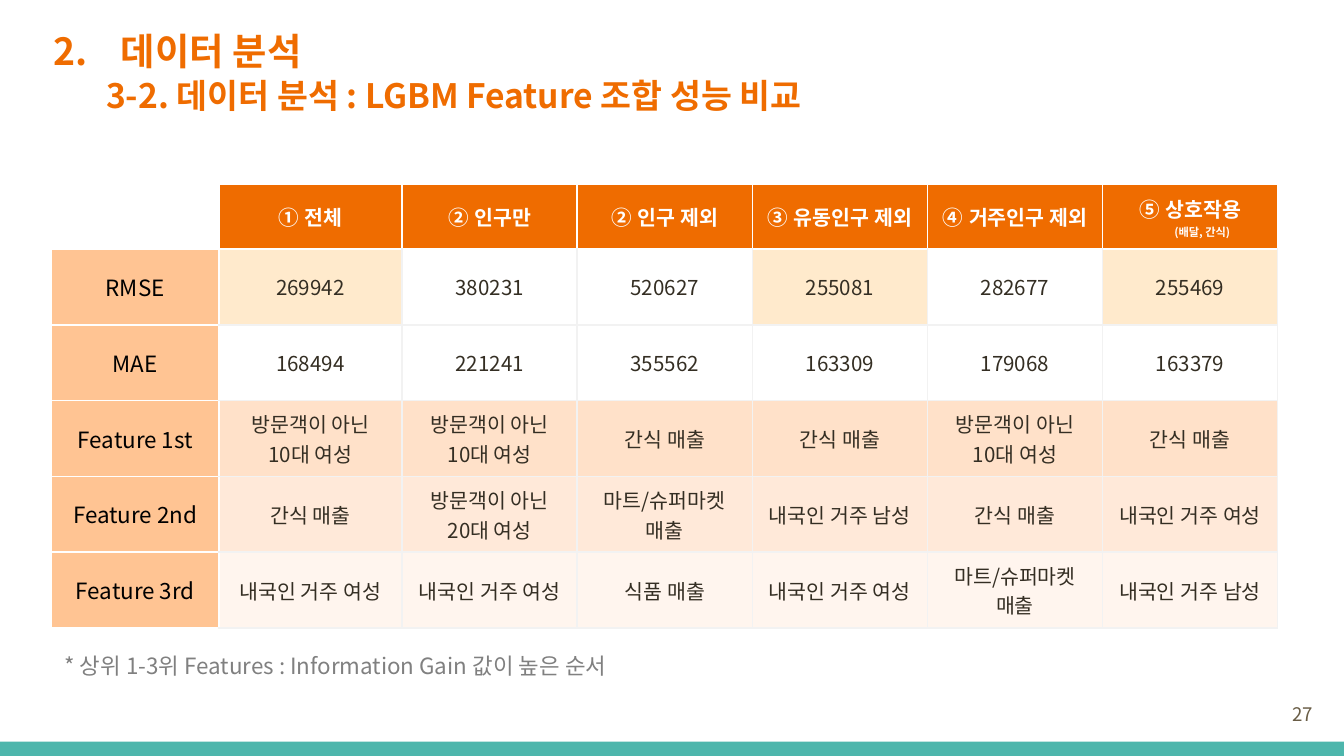
"""Builds a slide comparing LGBM feature combinations by error and top features."""
from lxml import etree
from pptx import Presentation
from pptx import util as u
from pptx.dml import color
from pptx.enum import text
from pptx.oxml import ns

NOTO = "Noto Sans CJK KR"
ORANGE, WHITE, GREY, BLACK = "EF6C00", "FFFFFF", "F2F2F2", "000000"
PEACH, CREAM, SIDE, INK = "FFE1C9", "FFEACC", "FFC493", "342E23"
Pt = u.Pt


def rgb(value):
    return color.RGBColor.from_string(value)


def style(paragraph, size, hue, bold=False, align=text.PP_ALIGN.LEFT):
    paragraph.alignment = align
    for run in paragraph.runs:
        run.font.size, run.font.bold, run.font.name = Pt(size), bold, NOTO
        run.font.color.rgb = rgb(hue)
        etree.SubElement(run.font._element, ns.qn("a:ea"), typeface=NOTO)


deck = Presentation()
deck.slide_width, deck.slide_height = Pt(720), Pt(405)
slide = deck.slides.add_slide(deck.slide_layouts[1])

footer_band = slide.shapes.add_shape(1, Pt(0), Pt(397.3), Pt(720), Pt(7.7))
footer_band.shadow.inherit = False
footer_band.fill.solid()
footer_band.fill.fore_color.rgb = rgb("4DB6AC")
footer_band.line.fill.background()

section, subsection = slide.placeholders
headings = [
    (section, 10.8, "데이터 분석", 20, 43.9, -36),
    (subsection, 35.3, "3-2. 데이터 분석 : LGBM Feature 조합 성능 비교", 18, 0, 36),
]
for heading, top, words, size, margin, indent in headings:
    heading.left, heading.top, heading.width, heading.height = Pt(13.7), Pt(top), Pt(671), Pt(31)
    frame = heading.text_frame
    frame.text = words
    frame.word_wrap = True
    frame.auto_size = text.MSO_AUTO_SIZE.NONE
    frame.vertical_anchor = text.MSO_ANCHOR.TOP
    frame.margin_left = frame.margin_right = frame.margin_top = frame.margin_bottom = Pt(7.2)
    line = frame.paragraphs[0]
    line.space_before, line.line_spacing = Pt(0), 0.9
    props = line._p.get_or_add_pPr()
    props.set("marL", str(Pt(margin)))
    props.set("indent", str(Pt(indent)))
    if heading is section:
        bullet_color = etree.SubElement(props, ns.qn("a:buClr"))
        etree.SubElement(bullet_color, ns.qn("a:srgbClr"), val=ORANGE)
        etree.SubElement(props, ns.qn("a:buFont"), typeface=NOTO)
        etree.SubElement(props, ns.qn("a:buAutoNum"), type="arabicPeriod", startAt="2")
    else:
        etree.SubElement(props, ns.qn("a:buNone"))
    style(line, size, ORANGE, bold=True)

TEEN, TWENTIES = "방문객이 아닌\n10대 여성", "방문객이 아닌\n20대 여성"
SNACK, FOOD, MART = "간식 매출", "식품 매출", "마트/슈퍼마켓\n매출"
WOMEN, MEN = "내국인 거주 여성", "내국인 거주 남성"
rows = [
    ["", "① 전체", "② 인구만", "② 인구 제외", "③ 유동인구 제외", "④ 거주인구 제외",
     "⑤ 상호작용\n(배달, 간식)"],
    ["RMSE", "269942", "380231", "520627", "255081", "282677", "255469"],
    ["MAE", "168494", "221241", "355562", "163309", "179068", "163379"],
    ["Feature 1st", TEEN, TEEN, SNACK, SNACK, TEEN, SNACK],
    ["Feature 2nd", SNACK, TWENTIES, MART, MEN, SNACK, WOMEN],
    ["Feature 3rd", WOMEN, WOMEN, FOOD, WOMEN, MART, MEN],
]
row_fills = [ORANGE, WHITE, WHITE, PEACH, PEACH, PEACH]
row_alphas = {4: 70, 5: 30}
best_columns = (1, 4, 6)

comparison = slide.shapes.add_table(6, 7, Pt(27.7), Pt(98.9), Pt(657), Pt(237.5)).table
comparison.first_row = comparison.horz_banding = False
for column, width in zip(comparison.columns, [89.5, 98.3] + [93.8] * 5):
    column.width = Pt(width)
for row, height in zip(comparison.rows, [34.5] + [40.6] * 5):
    row.height = Pt(height)

for r, entries in enumerate(rows):
    for c, entry in enumerate(entries):
        cell = comparison.cell(r, c)
        cell.vertical_anchor = text.MSO_ANCHOR.MIDDLE
        cell_props = cell._tc.get_or_add_tcPr()
        is_label = r == 0 or c == 0
        white_sides = {"L": is_label or c == 1, "R": is_label, "T": is_label or r == 1, "B": is_label}
        for side, is_white in white_sides.items():
            border = etree.SubElement(cell_props, ns.qn("a:ln" + side), w=str(Pt(1)))
            paint = etree.SubElement(border, ns.qn("a:solidFill"))
            etree.SubElement(paint, ns.qn("a:srgbClr"), val=WHITE if is_white else GREY)

        fill = row_fills[r]
        if c == 0:
            fill = SIDE if r else WHITE
        elif r == 1 and c in best_columns:
            fill = CREAM
        cell.fill.solid()
        cell.fill.fore_color.rgb = rgb(fill)
        if c and r in row_alphas:
            tint = cell_props.find(ns.qn("a:solidFill"))[0]
            etree.SubElement(tint, ns.qn("a:alpha"), val=str(row_alphas[r] * 1000))

        cell.text_frame.text = entry
        size, hue = (11, WHITE) if r == 0 else (12, BLACK) if c == 0 else (11, INK)
        for line in cell.text_frame.paragraphs:
            style(line, size, hue, bold=r == 0, align=text.PP_ALIGN.CENTER)
        if r == 0 and c:
            label = cell.text_frame.paragraphs[0]
            number, name = label.text.split(" ", 1)
            label.text = number + " "
            label.add_run().text = name
            style(label, 11, WHITE, bold=True, align=text.PP_ALIGN.CENTER)
            label.runs[0].font.name = "Arial"
            label.runs[0].font._element.find(ns.qn("a:ea")).set("typeface", "Arial")

interaction_detail = comparison.cell(0, 6).text_frame.paragraphs[1]
interaction_detail._p.get_or_add_pPr().set("marL", str(Pt(13)))
interaction_detail.runs[0].font.size = Pt(6)

notes = [
    ("* 상위 1-3위 Features : Information Gain 값이 높은 순서", 27.4, 345.6, 506, 21.8, 12, "808080",
     text.PP_ALIGN.LEFT, text.MSO_ANCHOR.TOP),
    ("27", 667.4, 367.2, 43.2, 31, 10, "695D46", text.PP_ALIGN.RIGHT, text.MSO_ANCHOR.MIDDLE),
]
for words, left, top, width, height, size, hue, align, anchor in notes:
    frame = slide.shapes.add_textbox(Pt(left), Pt(top), Pt(width), Pt(height)).text_frame
    frame.word_wrap = True
    frame.vertical_anchor = anchor
    frame.text = words
    style(frame.paragraphs[0], size, hue, align=align)

deck.save("out.pptx")
